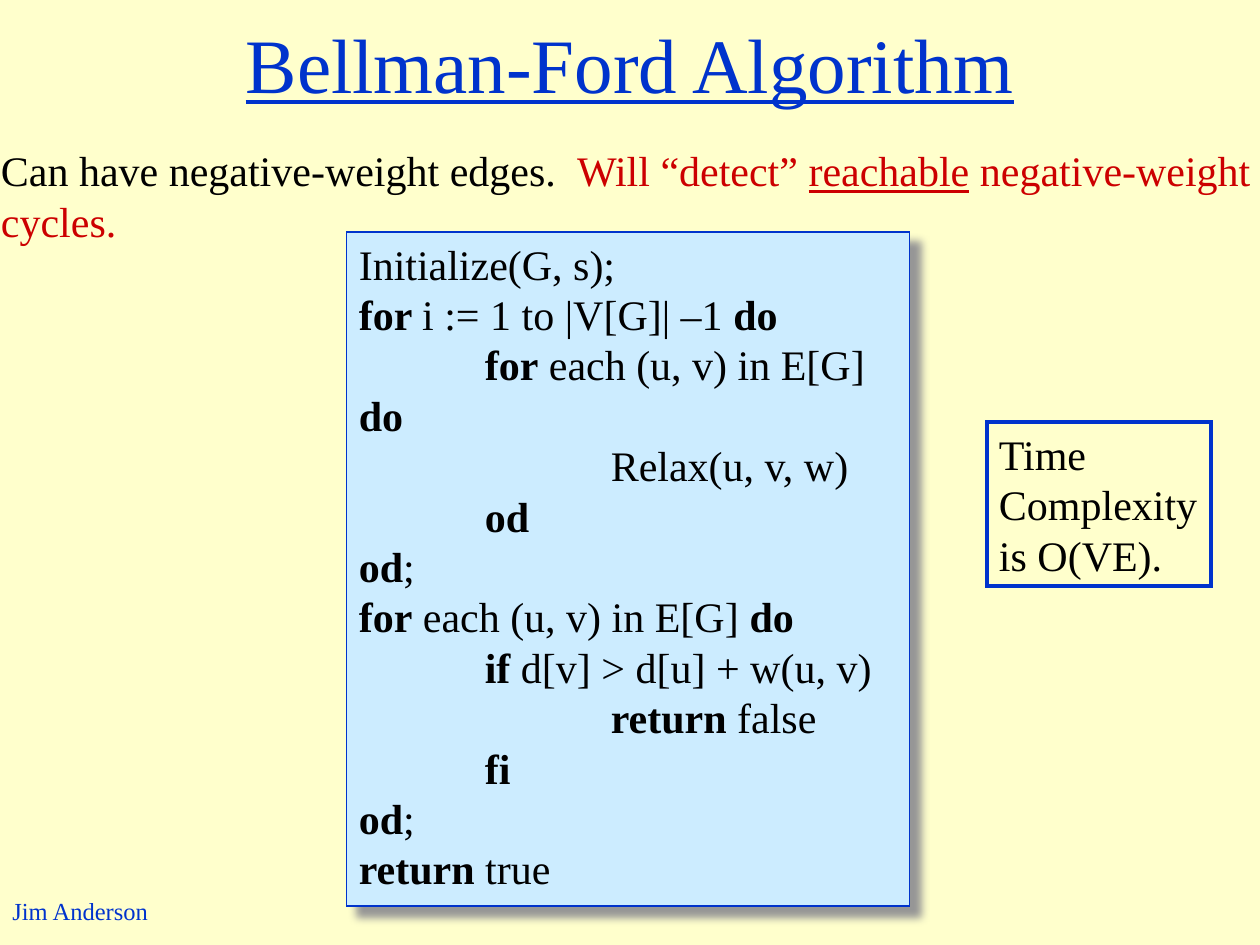
"""Build the Bellman-Ford algorithm slide."""
from lxml.etree import SubElement
from pptx import Presentation
from pptx.dml.color import RGBColor
from pptx.enum.shapes import MSO_SHAPE
from pptx.enum.text import MSO_ANCHOR, PP_ALIGN
from pptx.oxml.ns import qn
from pptx.util import Pt

PX = 9144
FONT = "Times New Roman"
BLUE, RED, BLACK = "0033CC", "CC0000", "000000"
TAB_STOPS = [100, 200]


def color(value):
    return RGBColor.from_string(value)


def write(frame, lines, size=24, align=PP_ALIGN.LEFT, anchor=MSO_ANCHOR.TOP):
    frame.word_wrap = True
    frame.vertical_anchor = anchor
    for index, line in enumerate(lines):
        paragraph = frame.add_paragraph() if index else frame.paragraphs[0]
        paragraph.alignment = align
        for text, ink, bold, underline in line:
            run = paragraph.add_run()
            run.text = text
            font = run.font
            font.name, font.size = FONT, Pt(size)
            font.bold, font.underline = bold, underline
            font.color.rgb = color(ink)


presentation = Presentation()
presentation.slide_width = 1000 * PX
presentation.slide_height = 750 * PX
slide = presentation.slides.add_slide(presentation.slide_layouts[5])
slide.background.fill.solid()
slide.background.fill.fore_color.rgb = color("FFFFCC")

title = slide.shapes.title
title.left, title.top, title.width, title.height = 0, 0, 1000 * PX, 100 * PX
write(title.text_frame, [[("Bellman-Ford Algorithm", BLUE, False, True)]],
      44, PP_ALIGN.CENTER, MSO_ANCHOR.MIDDLE)

author = slide.shapes.add_textbox(0, 706 * PX, 128 * PX, 34 * PX)
write(author.text_frame, [[("Jim Anderson", BLUE, False, False)]], 14)

summary = slide.shapes.add_textbox(-9 * PX, 110 * PX, 1023 * PX, 90 * PX)
write(summary.text_frame, [
    [("Can have negative-weight edges.  ", BLACK, False, False),
     ("Will “detect” ", RED, False, False),
     ("reachable", RED, False, True),
     (" negative-weight", RED, False, False)],
    [("cycles.", RED, False, False)],
])

CODE = [
    "Initialize(G, s);",
    "*for *i := 1 to |V[G]| –1 *do*",
    "\t*for* each (u, v) in E[G] *do*",
    "\t\tRelax(u, v, w)",
    "\t*od*",
    "*od*;",
    "*for* each (u, v) in E[G] *do*",
    "\t*if* d[v] > d[u] + w(u, v)",
    "\t\t*return* false",
    "\t*fi*",
    "*od*;",
    "*return* true",
]
COMPLEXITY = ["Time", "Complexity", "is O(VE)."]
BOXES = [
    ((275, 184, 447, 535), "CCECFF", 1, CODE),
    ((783, 335, 178, 130), None, 2.25, COMPLEXITY),
]
for bounds, fill, line_width, lines in BOXES:
    box = slide.shapes.add_shape(MSO_SHAPE.RECTANGLE, *(value * PX for value in bounds))
    box.shadow.inherit = False
    box.line.color.rgb = color(BLUE)
    box.line.width = Pt(line_width)
    SubElement(box.element.spPr.find(qn("a:ln")), qn("a:miter"), lim="800000")
    if fill:
        box.fill.solid()
        box.fill.fore_color.rgb = color(fill)
        effects = box.element.spPr.find(qn("a:effectLst"))
        shadow = SubElement(effects, qn("a:outerShdw"), blurRad=str(Pt(5)),
                            dist=str(Pt(8.5)), dir=str(45 * 60000),
                            algn="ctr", rotWithShape="0")
        SubElement(shadow, qn("a:srgbClr"), val="969696")
    else:
        box.fill.background()
    write(box.text_frame, [
        [(text, BLACK, index % 2 == 1, False)
         for index, text in enumerate(line.split("*")) if text]
        for line in lines
    ])
    for paragraph, line in zip(box.text_frame.paragraphs, lines):
        if line.startswith("\t"):
            tabs = SubElement(paragraph._p.get_or_add_pPr(), qn("a:tabLst"))
            for stop in TAB_STOPS:
                SubElement(tabs, qn("a:tab"), pos=str(stop * PX), algn="l")

presentation.save("out.pptx")
